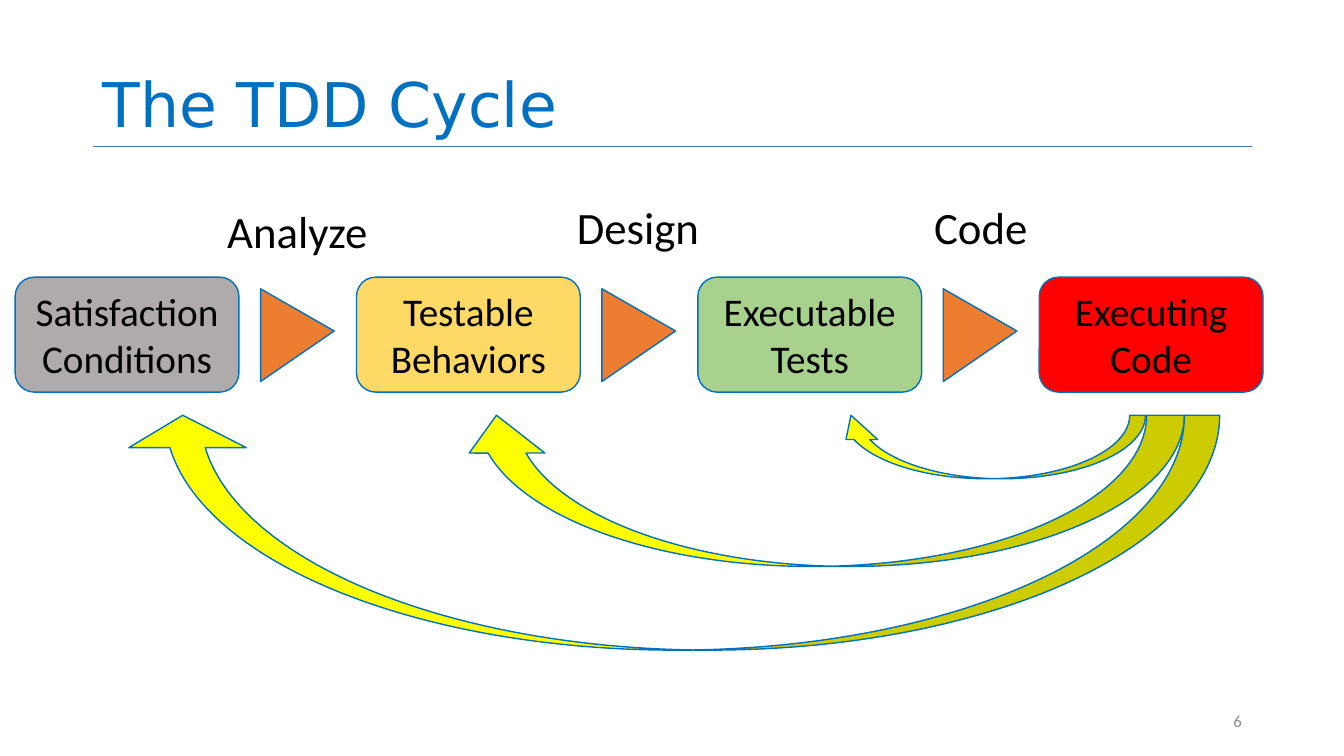
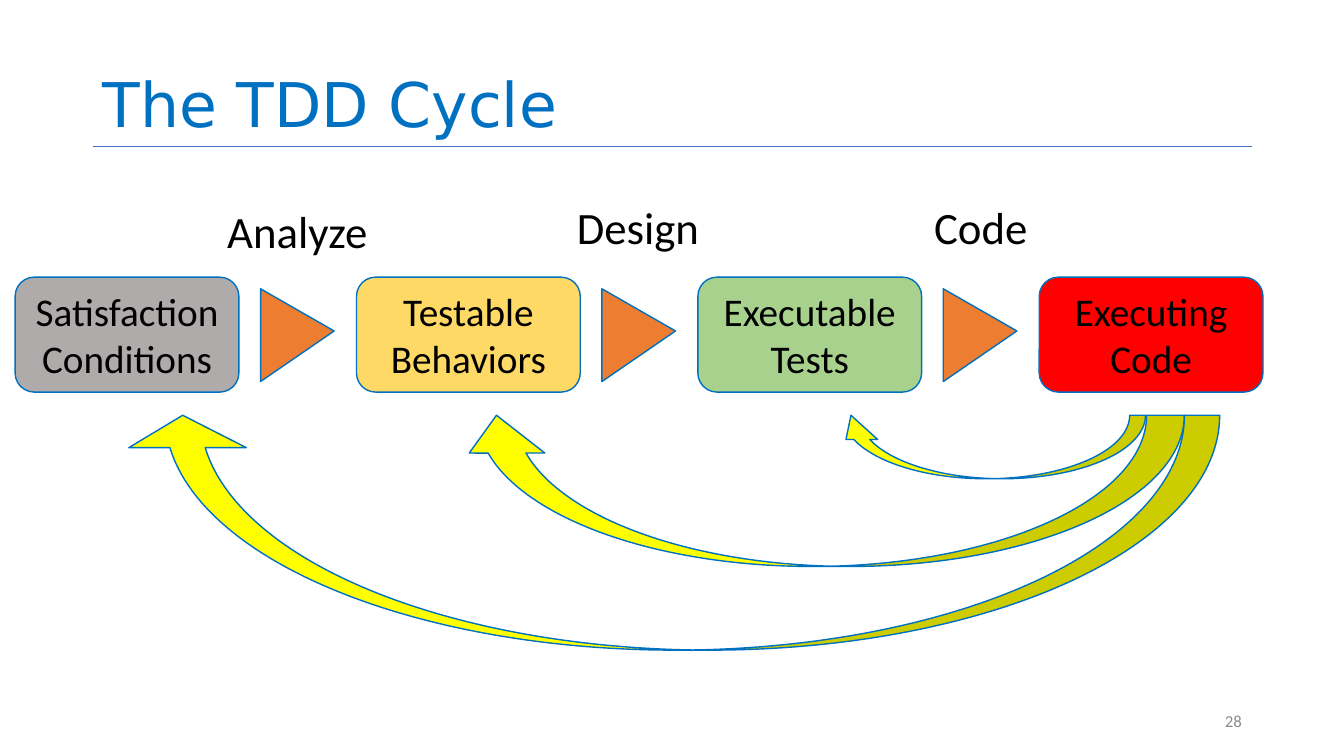
from lxml.etree import SubElement
from pptx import Presentation
from pptx.dml.color import RGBColor
from pptx.enum.shapes import MSO_CONNECTOR as Connector, MSO_SHAPE as Shape
from pptx.enum.text import MSO_ANCHOR as Anchor, MSO_AUTO_SIZE as AutoSize, PP_ALIGN as Align
from pptx.oxml.ns import qn
from pptx.util import Pt

COLORS = {
    "blue": "0070C0",
    "rule": "4472C4",
    "number": "8C8C8C",
    "black": "000000",
    "gray": "AFABAB",
    "gold": "FFD966",
    "green": "A9D18E",
    "red": "FF0000",
    "orange": "ED7D31",
    "yellow": "FFFF00",
}

FRAME = {"word_wrap": True, "auto_size": AutoSize.NONE, "vertical_anchor": Anchor.MIDDLE}
FORMATS = {
    "title": {
        "frame": {**FRAME, "vertical_anchor": Anchor.BOTTOM},
        "paragraph": {"alignment": Align.LEFT, "line_spacing": 0.9},
        "font": {"name": "DejaVu Sans", "size": Pt(44)},
        "color": "blue",
    },
    "number": {
        "frame": FRAME,
        "paragraph": {"alignment": Align.RIGHT},
        "font": {"name": "Calibri", "size": Pt(12)},
        "color": "number",
    },
    "stage": {
        "frame": FRAME,
        "paragraph": {"alignment": Align.CENTER},
        "font": {"name": "Calibri", "size": Pt(28)},
        "color": "black",
    },
    "activity": {
        "frame": FRAME,
        "paragraph": {"alignment": Align.CENTER},
        "font": {"name": "Calibri", "size": Pt(32)},
        "color": "black",
    },
}

MARGIN = 66.24
CONTENT_WIDTH = 828
TITLE_BOTTOM = 104.4

STAGES = [
    ("Satisfaction Conditions", "gray"),
    ("Testable Behaviors", "gold"),
    ("Executable Tests", "green"),
    ("Executing Code", "red"),
]
STAGE_LEFT, STAGE_TOP, STAGE_PITCH = 10.8, 198, 243.84
STAGE_WIDTH, STAGE_HEIGHT = 159.84, 82.08
POINTER_GAP, POINTER_TOP = 15.48, 206.28
POINTER_WIDTH, POINTER_HEIGHT = 52.56, 66.24
ACTIVITIES = [("Analyze", 126, 143.28), ("Design", 369.36, 140.4), ("Code", 614.16, 140.4)]
FEEDBACK_TOP = 296.64
FEEDBACK_ARROWS = [
    (596.5, 221.76, 45.36, (0.25, 0.5, 0.382)),
    (327.6, 518.4, 108, (0.25, 0.5, 0.25)),
    (88.56, 782.64, 167.76, (0.15, 0.5, 0.138)),
]


def color(name):
    return RGBColor.from_string(COLORS[name])


def set_attributes(target, values):
    for name, value in values.items():
        setattr(target, name, value)


def write_text(shape, text, style):
    values = FORMATS[style]
    frame = shape.text_frame
    frame.text = text
    paragraph = frame.paragraphs[0]
    font = paragraph.runs[0].font
    set_attributes(frame, values["frame"])
    set_attributes(paragraph, values["paragraph"])
    set_attributes(font, values["font"])
    font.color.rgb = color(values["color"])


def add_text(slide, text, style, *box):
    write_text(slide.shapes.add_textbox(*map(Pt, box)), text, style)


def add_filled_shape(slide, kind, fill, *box):
    shape = slide.shapes.add_shape(kind, *map(Pt, box))
    shape.shadow.inherit = False
    shape.fill.solid()
    shape.fill.fore_color.rgb = color(fill)
    shape.line.color.rgb = color("blue")
    shape.line.width = Pt(1)
    return shape


def add_turned_shape(slide, kind, fill, adjustments, left, top, width, height):
    shift = (width - height) / 2
    shape = add_filled_shape(slide, kind, fill, left + shift, top - shift, height, width)
    shape.rotation = 90
    for index, value in enumerate(adjustments):
        shape.adjustments[index] = value


def add_title_rule(slide):
    ends = (MARGIN, TITLE_BOTTOM, MARGIN + CONTENT_WIDTH, TITLE_BOTTOM)
    rule = slide.shapes.add_connector(Connector.STRAIGHT, *map(Pt, ends))
    rule.line.color.rgb = color("rule")
    rule.line.width = Pt(0.5)
    SubElement(rule._element.spPr, qn("a:effectLst"))


def add_titled_slide(presentation, title, number):
    slide = presentation.slides.add_slide(presentation.slide_layouts[5])
    add_title_rule(slide)
    placeholder = slide.shapes.title
    set_attributes(placeholder, {
        "left": Pt(MARGIN), "top": Pt(0),
        "width": Pt(CONTENT_WIDTH), "height": Pt(TITLE_BOTTOM),
    })
    write_text(placeholder, title, "title")
    add_text(slide, str(number), "number", 678.24, 500.4, 216, 28.8)
    return slide


def add_stages(slide):
    for index, (text, fill) in enumerate(STAGES):
        left = STAGE_LEFT + index * STAGE_PITCH
        stage = add_filled_shape(slide, Shape.ROUNDED_RECTANGLE, fill,
                                 left, STAGE_TOP, STAGE_WIDTH, STAGE_HEIGHT)
        write_text(stage, text, "stage")
        if index < len(STAGES) - 1:
            add_turned_shape(slide, Shape.ISOSCELES_TRIANGLE, "orange", (0.455,),
                             left + STAGE_WIDTH + POINTER_GAP, POINTER_TOP,
                             POINTER_WIDTH, POINTER_HEIGHT)


def add_activities(slide):
    for text, left, top in ACTIVITIES:
        add_text(slide, text, "activity", left, top, 172.8, 43.2)


def add_feedback_arrows(slide):
    for left, width, depth, adjustments in FEEDBACK_ARROWS:
        add_turned_shape(slide, Shape.CURVED_LEFT_ARROW, "yellow", adjustments,
                         left, FEEDBACK_TOP, width, depth)


def main():
    presentation = Presentation()
    presentation.slide_width = Pt(960)
    presentation.slide_height = Pt(540)
    for number in (6, 28):
        slide = add_titled_slide(presentation, "The TDD Cycle", number)
        add_stages(slide)
        add_activities(slide)
        add_feedback_arrows(slide)
    presentation.save("out.pptx")


if __name__ == "__main__":
    main()
